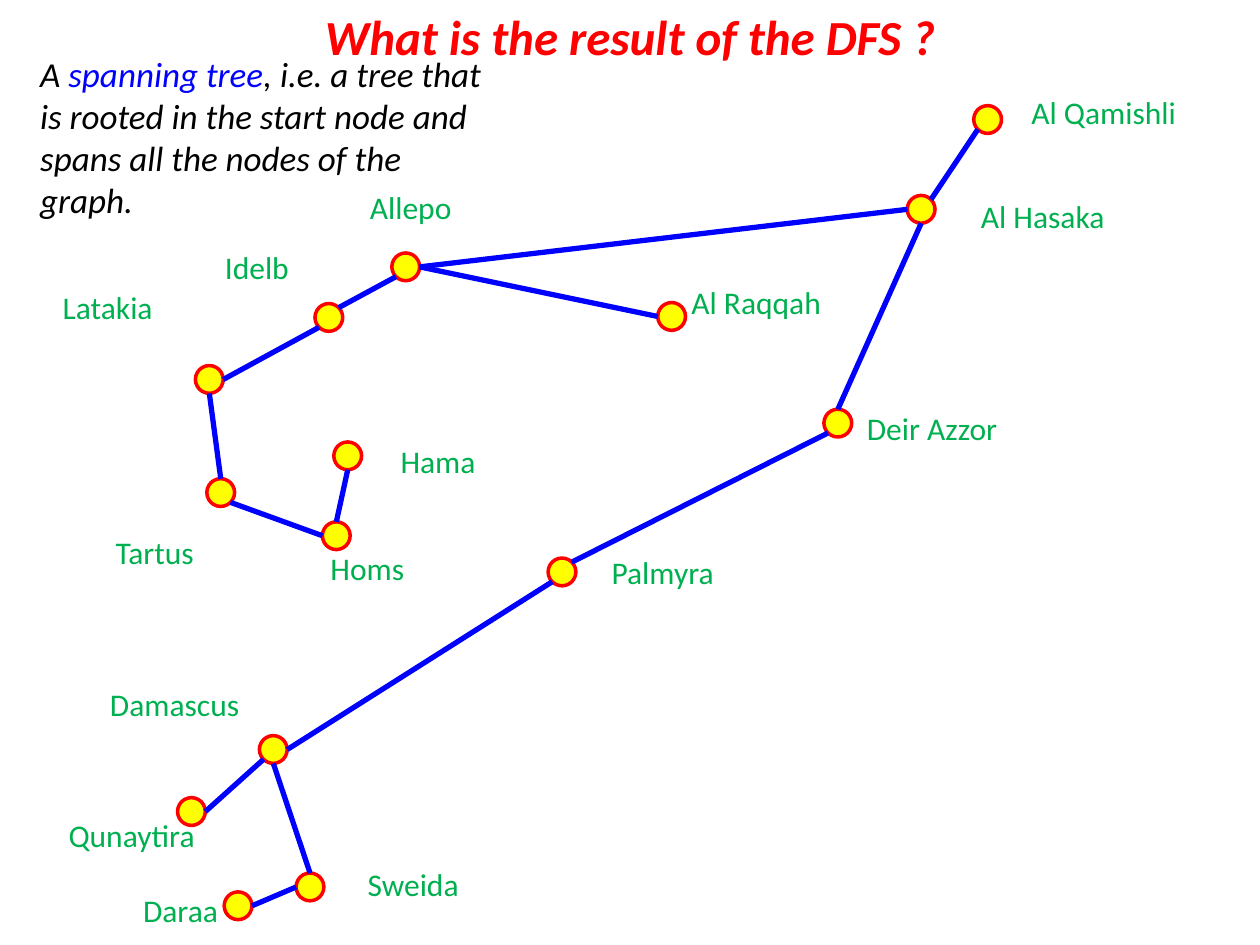
from math import cos, radians, sin

from lxml.etree import SubElement
from pptx import Presentation
from pptx.dml.color import RGBColor
from pptx.enum.shapes import MSO_CONNECTOR, MSO_SHAPE
from pptx.enum.text import MSO_ANCHOR, MSO_AUTO_SIZE, PP_ALIGN
from pptx.oxml.ns import qn
from pptx.util import Cm, Pt

RED = RGBColor(0xFF, 0x00, 0x00)
BLUE = RGBColor(0x00, 0x00, 0xFF)
GREEN = RGBColor(0x00, 0xB0, 0x50)
YELLOW = RGBColor(0xFF, 0xFF, 0x00)
BLACK = RGBColor(0x00, 0x00, 0x00)
FONT = "Calibri"
SIZE = 0.56    # node diameter
TALL = 1.02    # label height

# Content
TITLE = "What is the result of the DFS ?"
NOTE = [
    ("A ", BLACK),
    ("spanning tree", BLUE),
    (", i.e. a tree that is rooted in the start node and "
     "spans all the nodes of the graph.", BLACK),
]

# City: node centre, then label left, top and width (cm)
CITIES = {
    "Damascus": ((5.51, 15.11), (1.88, 13.69, 3.28)),
    "Homs": ((6.78, 10.8), (6.15, 10.95, 2.51)),
    "Hama": ((7.01, 9.19), (7.65, 8.79, 2.36)),
    "Idelb": ((6.63, 6.4), (4.01, 4.88, 2.34)),
    "Allepo": ((8.18, 5.38), (7.11, 3.66, 2.34)),
    "Tartus": ((4.45, 9.93), (1.75, 10.62, 2.74)),
    "Latakia": ((4.22, 7.65), (0.99, 5.69, 2.36)),
    "Sweida": ((6.25, 17.88), (6.96, 17.32, 2.74)),
    "Daraa": ((4.8, 18.26), (2.51, 17.83, 2.26)),
    "Palmyra": ((11.33, 11.53), (11.91, 11.02, 2.9)),
    "Deir Azzor": ((16.89, 8.53), (16.87, 8.13, 3.84)),
    "Al Hasaka": ((18.57, 4.22), (19.51, 3.84, 3.02)),
    "Al Qamishli": ((19.91, 2.41), (20.37, 1.75, 3.76)),
    "Al Raqqah": ((13.54, 6.38), (13.44, 5.59, 3.61)),
    "Qunaytira": ((3.86, 16.36), (0.89, 16.33, 3.53)),
}

# The eight joints of an ellipse, counter-clockwise from the top
JOINTS = ["N", "NW", "W", "SW", "S", "SE", "E", "NE"]
EDGES = [
    ("Allepo", "E", "Al Hasaka", "W"),
    ("Idelb", "NE", "Allepo", "SW"),
    ("Latakia", "E", "Idelb", "SW"),
    ("Latakia", "S", "Tartus", "N"),
    ("Tartus", "SE", "Homs", "W"),
    ("Damascus", "E", "Palmyra", "SW"),
    ("Damascus", "S", "Sweida", "N"),
    ("Sweida", "W", "Daraa", "E"),
    ("Deir Azzor", "N", "Al Hasaka", "S"),
    ("Palmyra", "NE", "Deir Azzor", "SW"),
    ("Al Hasaka", "NE", "Al Qamishli", "SW"),
    ("Hama", "S", "Homs", "N"),
    ("Al Raqqah", "W", "Allepo", "E"),
    ("Qunaytira", "E", "Damascus", "SW"),
]


def add_run(para, text, size, color, bold=False, italic=False):
    run = para.add_run()
    run.text = text
    font = run.font
    font.name, font.size = FONT, Pt(size)
    font.bold, font.italic = bold, italic
    font.color.rgb = color


def add_box(slide, left, top, width, height, wrap):
    box = slide.shapes.add_textbox(Cm(left), Cm(top), Cm(width), Cm(height))
    box.text_frame.word_wrap = wrap
    return box.text_frame.paragraphs[0]


def add_node(slide, x, y):
    node = slide.shapes.add_shape(
        MSO_SHAPE.OVAL, Cm(x - SIZE / 2), Cm(y - SIZE / 2), Cm(SIZE), Cm(SIZE))
    node.shadow.inherit = False
    node.fill.solid()
    node.fill.fore_color.rgb = YELLOW
    node.line.color.rgb = RED
    node.line.width = Pt(2)
    return node


def joint(city, side):
    x, y = CITIES[city][0]
    turn = radians(90 + 45 * JOINTS.index(side))
    return Cm(x + SIZE / 2 * cos(turn)), Cm(y - SIZE / 2 * sin(turn))


def add_edge(slide, nodes, start, out, end, into):
    line = slide.shapes.add_connector(
        MSO_CONNECTOR.STRAIGHT, *joint(start, out), *joint(end, into))
    line.line.color.rgb = BLUE
    line.line.width = Pt(3)
    SubElement(line._element.spPr, qn("a:effectLst"))
    # Glue both ends: begin_connect knows only four joints, an ellipse has eight
    glue = line._element.find(".//" + qn("p:cNvCxnSpPr"))
    for tag, city, side in (("a:stCxn", start, out), ("a:endCxn", end, into)):
        SubElement(glue, qn(tag), id=str(nodes[city].shape_id),
                   idx=str(JOINTS.index(side)))


def main():
    deck = Presentation()
    deck.slide_width, deck.slide_height = Cm(25.4), Cm(19.05)
    slide = deck.slides.add_slide(deck.slide_layouts[5])

    # Title
    title = slide.shapes.title
    title.left, title.top = Cm(0), Cm(0)
    title.width, title.height = Cm(25.4), Cm(1.45)
    frame = title.text_frame
    frame.auto_size = MSO_AUTO_SIZE.NONE
    frame.vertical_anchor = MSO_ANCHOR.TOP
    para = frame.paragraphs[0]
    para.alignment = PP_ALIGN.CENTER
    add_run(para, TITLE, 28, RED, bold=True, italic=True)

    # Explanation
    para = add_box(slide, 0.56, 0.94, 9.75, 3.68, True)
    for text, color in NOTE:
        add_run(para, text, 20, color, italic=True)

    # Nodes, tree edges, city names
    nodes = {city: add_node(slide, *spot) for city, (spot, _) in CITIES.items()}
    for edge in EDGES:
        add_edge(slide, nodes, *edge)
    for city, (_, place) in CITIES.items():
        para = add_box(slide, *place, TALL, False)
        para.alignment = PP_ALIGN.CENTER
        add_run(para, city, 18, GREEN)

    deck.save("out.pptx")


if __name__ == "__main__":
    main()
